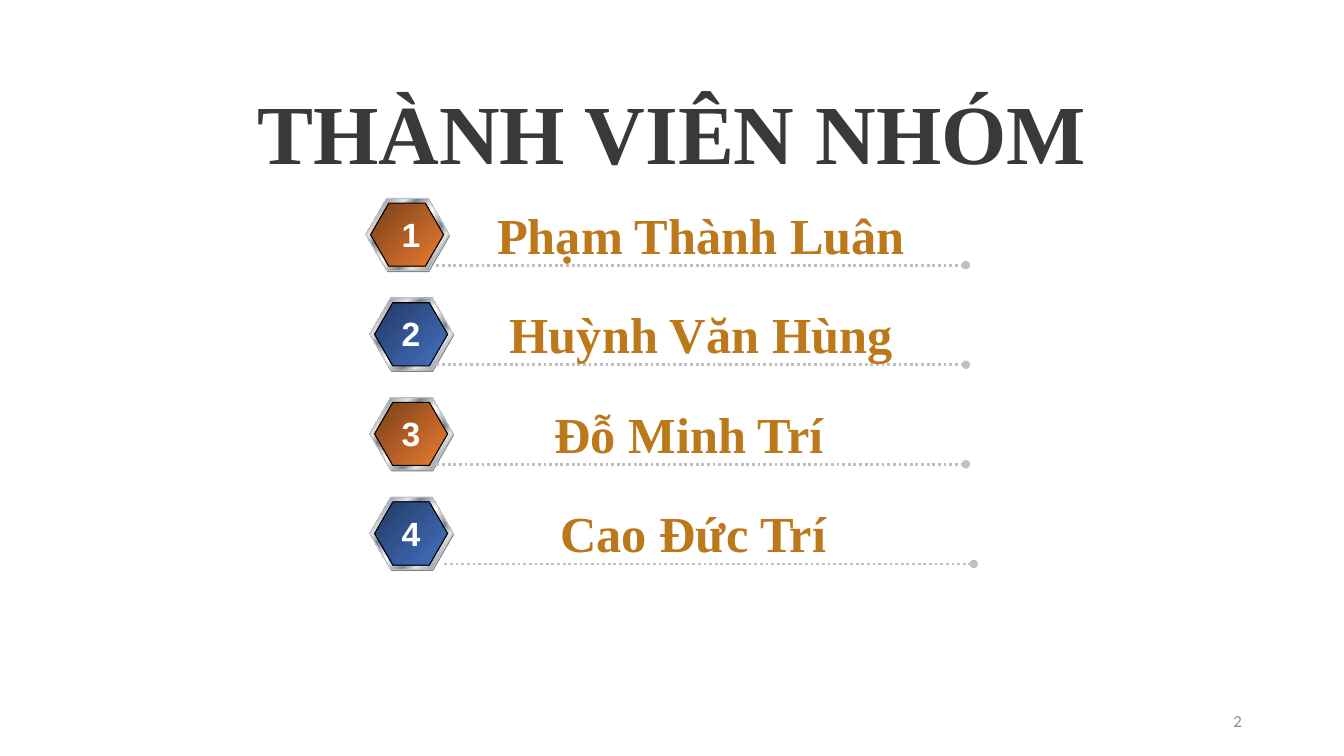
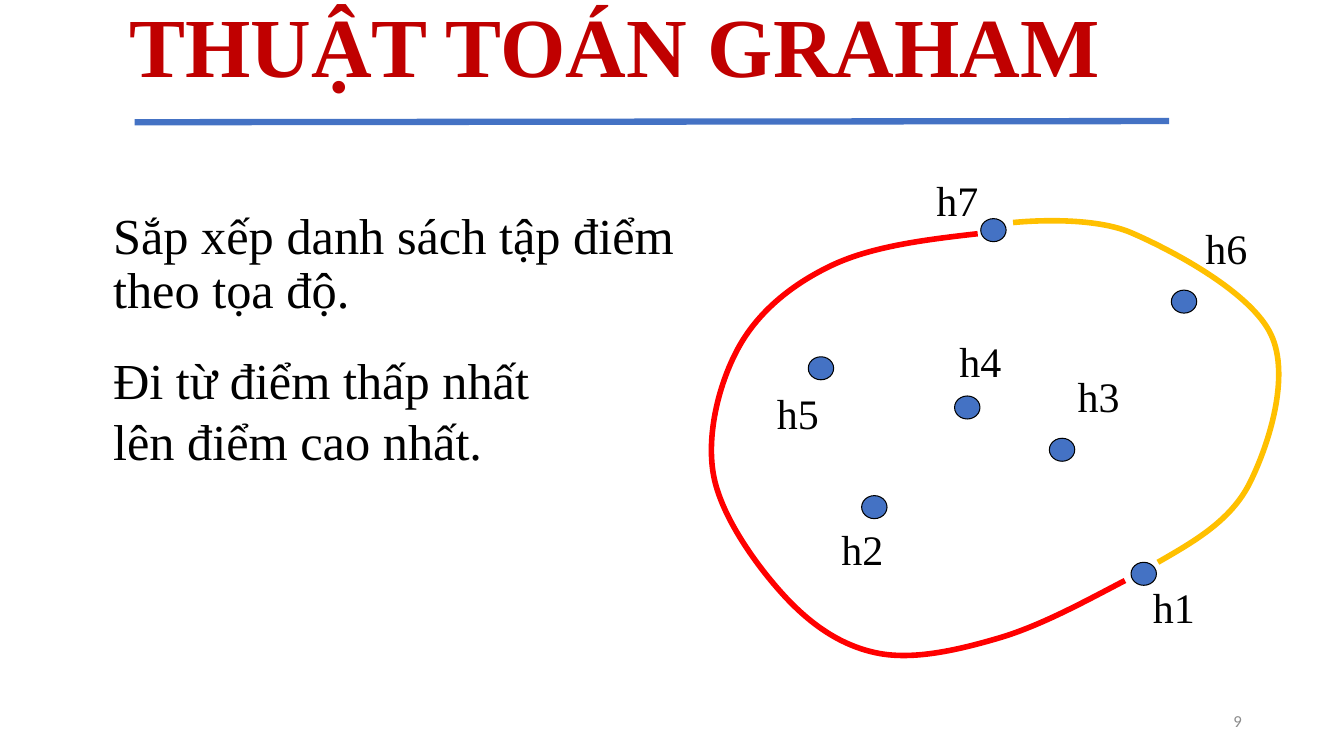
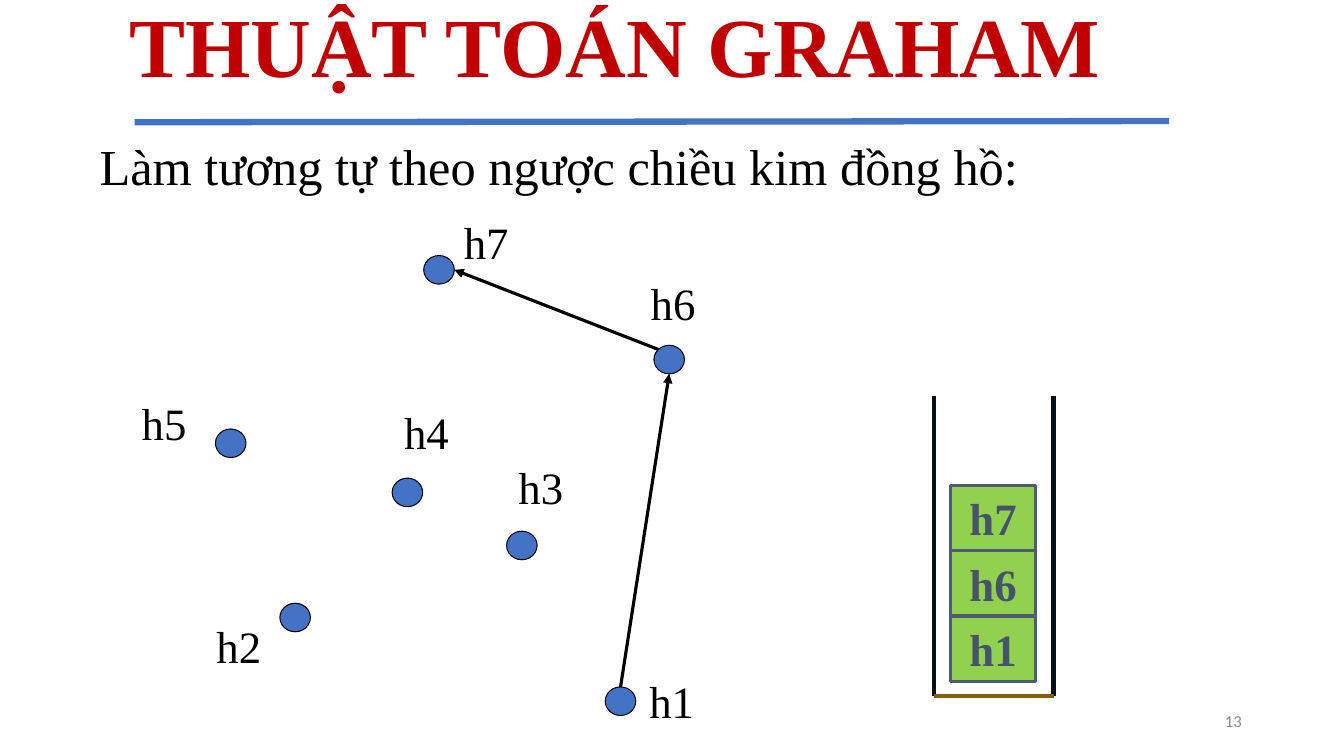
import pptx
import pptx.util
import pptx.dml.color
import pptx.enum.dml
import pptx.enum.shapes
import pptx.enum.text
import pptx.oxml.ns
import lxml.etree

Cm = pptx.util.Cm
Pt = pptx.util.Pt
KIND = pptx.enum.shapes.MSO_SHAPE
ALIGN = pptx.enum.text.PP_ALIGN
ANCHOR = pptx.enum.text.MSO_ANCHOR
qn = pptx.oxml.ns.qn

SERIF, BLACK, BLUE, GREY = "Times New Roman", "000000", "4472C4", "C0C0C0"
RED, GOLD = "C00000", "BC791C"
SILVER = [(0, "E6E6E6"), (8, "7D8496"), (26, "E6E6E6"), (34, "7D8496"),
          (46, "E6E6E6"), (50, "FFFFFF"), (54, "E6E6E6"), (66, "7D8496"),
          (74, "E6E6E6"), (92, "7D8496"), (100, "E6E6E6")]
BADGES = [[(0, "773F19"), (100, "ED7D31")], [(0, "223962"), (100, BLUE)]]

# Percent of the graph box, across and down
DOTS = {"h1": (88.9, 100), "h2": (14.7, 80.6), "h3": (66.4, 63.9),
        "h4": (40.3, 51.6), "h5": (0, 40.2), "h6": (100, 20.8), "h7": (47.5, 0)}


def tint(code):
    """Turn a hex string into a colour."""
    return pptx.dml.color.RGBColor.from_string(code)


def write(frame, text, size=36, font=SERIF, color=BLACK, bold=False,
          align=ALIGN.LEFT, anchor=ANCHOR.TOP, space=None):
    """Put one formatted paragraph into a text frame."""
    frame.word_wrap = True
    frame.vertical_anchor = anchor
    para = frame.paragraphs[0]
    para.alignment = align
    para.line_spacing = space
    run = para.add_run()
    run.text = text
    run.font.name, run.font.size, run.font.bold = font, Pt(size), bold
    run.font.color.rgb = tint(color)


def label(slide, text, x, y, w, h, **form):
    """Add a text box, lengths in cm."""
    box = slide.shapes.add_textbox(Cm(x), Cm(y), Cm(w), Cm(h))
    write(box.text_frame, text, **form)


def blend(shape, stops):
    """Fill a shape with a diagonal gradient."""
    shape.fill.gradient()
    grad = shape._element.spPr.find(qn("a:gradFill"))
    for child in list(grad):
        grad.remove(child)
    group = lxml.etree.SubElement(grad, qn("a:gsLst"))
    for place, code in stops:
        stop = lxml.etree.SubElement(group, qn("a:gs"), pos=str(place * 1000))
        lxml.etree.SubElement(stop, qn("a:srgbClr"), val=code)
    lxml.etree.SubElement(grad, qn("a:lin"), ang="2700000", scaled="0")


def solid(slide, kind, x, y, w, h, fill, edge=BLACK, width=0.75):
    """Add a shape; fill is a hex string or a list of gradient stops."""
    shape = slide.shapes.add_shape(kind, Cm(x), Cm(y), Cm(w), Cm(h))
    shape.shadow.inherit = False
    if isinstance(fill, str):
        shape.fill.solid()
        shape.fill.fore_color.rgb = tint(fill)
    else:
        blend(shape, fill)
    if edge:
        shape.line.color.rgb = tint(edge)
        shape.line.width = Pt(width)
    else:
        shape.line.fill.background()
    return shape


def stroke(slide, start, end, color=BLACK, width=2.25, dash=None, tail=None):
    """Draw a line between two points in cm."""
    line = slide.shapes.add_connector(
        pptx.enum.shapes.MSO_CONNECTOR.STRAIGHT, *map(Cm, (*start, *end)))
    line.line.color.rgb = tint(color)
    line.line.width = Pt(width)
    if dash:
        line.line.dash_style = dash
    props = line._element.spPr
    if tail:
        lxml.etree.SubElement(props.find(qn("a:ln")), qn("a:tailEnd"), type=tail)
    lxml.etree.SubElement(props, qn("a:effectLst"))


def curve(slide, x, y, knots, first, last, color):
    """Draw a Bezier curve through knots, with the given outer handles."""
    outs, ins = [first], []
    for (a, b), (c, d), (e, f) in zip(knots, knots[1:], knots[2:]):
        dx, dy = (e - a) / 6, (f - b) / 6
        ins.append((c - dx, d - dy))
        outs.append((c + dx, d + dy))
    ins.append(last)
    spots = [knots[0]]
    for trio in zip(outs, ins, knots[1:]):
        spots.extend(trio)
    spots = [(Cm(x + u), Cm(y + v)) for u, v in spots]
    build = slide.shapes.build_freeform(*spots[0])
    build.add_line_segments(spots[1:], close=False)
    shape = build.convert_to_shape()
    legs = list(shape._element.iter(qn("a:lnTo")))
    for trio in zip(legs[::3], legs[1::3], legs[2::3]):
        bend = lxml.etree.Element(qn("a:cubicBezTo"))
        trio[0].addprevious(bend)
        for leg in trio:
            bend.append(leg[0])
            leg.getparent().remove(leg)
    shape.shadow.inherit = False
    shape.fill.background()
    shape.line.color.rgb = tint(color)
    shape.line.width = Pt(4)


def number(slide, value):
    """Add the slide number."""
    label(slide, value, 23.93, 17.65, 7.62, 1.02, size=12, font="Calibri",
          color="8C8C8C", align=ALIGN.RIGHT, anchor=ANCHOR.MIDDLE)


def header(slide):
    """Add the red title and the blue rule of the algorithm slides."""
    label(slide, "THUẬT TOÁN GRAHAM", 1.8, 0.33, 27.38, 1.57, size=60,
          color=RED, bold=True, align=ALIGN.CENTER, anchor=ANCHOR.MIDDLE)
    stroke(slide, (3.39, 3.08), (29.46, 3.05), BLUE, 4.5)


def member(slide, x, y, rank, name, shift=0, nudge=0, push=0):
    """Add a numbered badge, a name and a dotted rule at (x, y)."""
    for dx, dy, w, h, fill, edge in (
            (0.02, 0.04, 2.1, 1.82, "808080", None),
            (0, 0, 2.1, 1.82, SILVER, GREY),
            (0.12, 0.12, 1.84, 1.59, BADGES[(rank - 1) % 2], BLACK)):
        badge = solid(slide, KIND.HEXAGON, x + nudge + dx, y + dy, w, h, fill, edge)
        badge.adjustments[0] = 0.289
    rule = x + 1.68 + push
    stroke(slide, (rule, y + 1.68), (rule + 13.34, y + 1.68), GREY, 2,
           pptx.enum.dml.MSO_LINE.ROUND_DOT, "oval")
    label(slide, name, x + 2.42 + shift, y + 0.01, 11.86, 1.8, color=GOLD,
          bold=True, align=ALIGN.CENTER)
    label(slide, str(rank), x, y + 0.26, 2.07, 1.27, size=24, font="Arial",
          color="FFFFFF", bold=True, align=ALIGN.CENTER)


def graph(slide, x, y, w, h, dot, size, offsets):
    """Scatter the named dots over a box and return their top left corners."""
    spots = {}
    for name, (across, down) in DOTS.items():
        left, top = x + w * across / 100, y + h * down / 100
        spots[name] = left, top
        solid(slide, KIND.OVAL, left, top, *dot, BLUE)
        dx, dy = offsets[name]
        label(slide, name, left + dx, top + dy, 1.83, 1.6, size=size)
    return spots


def stack(slide, x, y, w, h, names):
    """Draw an open container with cells piled up from the bottom."""
    for level, name in enumerate(names):
        cell = solid(slide, KIND.RECTANGLE, x + 0.43, y + h - 2 - 1.65 * level,
                     w - 0.88, 1.64, "92D050", "4B5C74", 2.25)
        write(cell.text_frame, name, size=32, color="44546A", bold=True,
              align=ALIGN.CENTER, anchor=ANCHOR.MIDDLE)
    for side in (x, x + w):
        stroke(slide, (side, y), (side, y + h), "061018", 3)
    stroke(slide, (x, y + h), (x + w, y + h), "806000", 3)


def team(slide):
    """Build the slide of group members."""
    label(slide, "THÀNH VIÊN NHÓM", 3.6, 1.64, 26.67, 3.63, size=60,
          color="3B3838", bold=True, align=ALIGN.CENTER,
          anchor=ANCHOR.MIDDLE, space=0.9)
    rows = (("Phạm Thành Luân", 0, -0.1, 0), ("Huỳnh Văn Hùng", 0, 0, 0),
            ("Đỗ Minh Trí", -0.3, 0, 0), ("Cao Đức Trí", -0.2, 0, 0.2))
    for row, (name, *shifts) in enumerate(rows):
        member(slide, 9.32, 5 + 2.51 * row, row + 1, name, *shifts)
    number(slide, "2")


def sort(slide):
    """Build the slide on sorting the points."""
    header(slide)
    label(slide, "Sắp xếp danh sách tập điểm theo tọa độ.",
          2.6, 5.18, 15.09, 4.45, space=0.9)
    label(slide, "Đi từ điểm thấp nhất lên điểm cao nhất.",
          2.6, 8.68, 11.79, 4.88)
    x, y = 20.37, 5.51
    graph(slide, x, y, 9.15, 8.66, (0.64, 0.58), 30, {
        "h1": (0.3, 0.36), "h2": (-0.76, 0.59), "h3": (0.46, -1.84),
        "h4": (-0.13, -1.65), "h5": (-1.04, 0.64), "h6": (0.61, -1.82),
        "h7": (-1.37, -1.24)})
    curve(slide, x, y, [(7.98, 9.12), (4.8, 10.57), (1.75, 10.95), (-0.61, 9.5),
                        (-2.39, 6.45), (-1.73, 3.2), (0.61, 1.17),
                        (4.27, 0.38)], (6.91, 9.68), (2.95, 0.53), "FF0000")
    curve(slide, x, y, [(8.81, 8.66), (11.13, 6.65), (11.66, 2.92),
                        (8.15, 0.36), (5.16, 0.1)],
          (9.73, 8.13), (5.16, 0.1), "FFC000")
    number(slide, "9")


def scan(slide):
    """Build the slide on the counterclockwise scan."""
    header(slide)
    label(slide, "Làm tương tự theo ngược chiều kim đồng hồ:",
          2.26, 3.28, 25, 1.8)
    wide, tall = 0.77, 0.72
    spots = graph(slide, 5.43, 6.44, 11.05, 10.87, (wide, tall), 32, {
        "h1": (0.86, -0.45), "h2": (-1.85, 0.26), "h3": (0.05, -1.92),
        "h4": (0.05, -1.97), "h5": (-2.11, -0.96), "h6": (-0.33, -1.89),
        "h7": (0.76, -1.15)})

    def edge(name, across, down):
        left, top = spots[name]
        return left + wide * across, top + tall * down

    stroke(slide, edge("h1", 0.5, 0), edge("h6", 0.5, 1), tail="triangle")
    stroke(slide, edge("h6", 0.15, 0.15), edge("h7", 1, 0.5), tail="triangle")
    stack(slide, 23.53, 9.98, 3.02, 7.55, ("h1", "h6", "h7"))
    number(slide, "13")


deck = pptx.Presentation()
deck.slide_width, deck.slide_height = Cm(33.87), Cm(19.05)
for build in (team, sort, scan):
    build(deck.slides.add_slide(deck.slide_layouts[6]))
deck.save("out.pptx")
